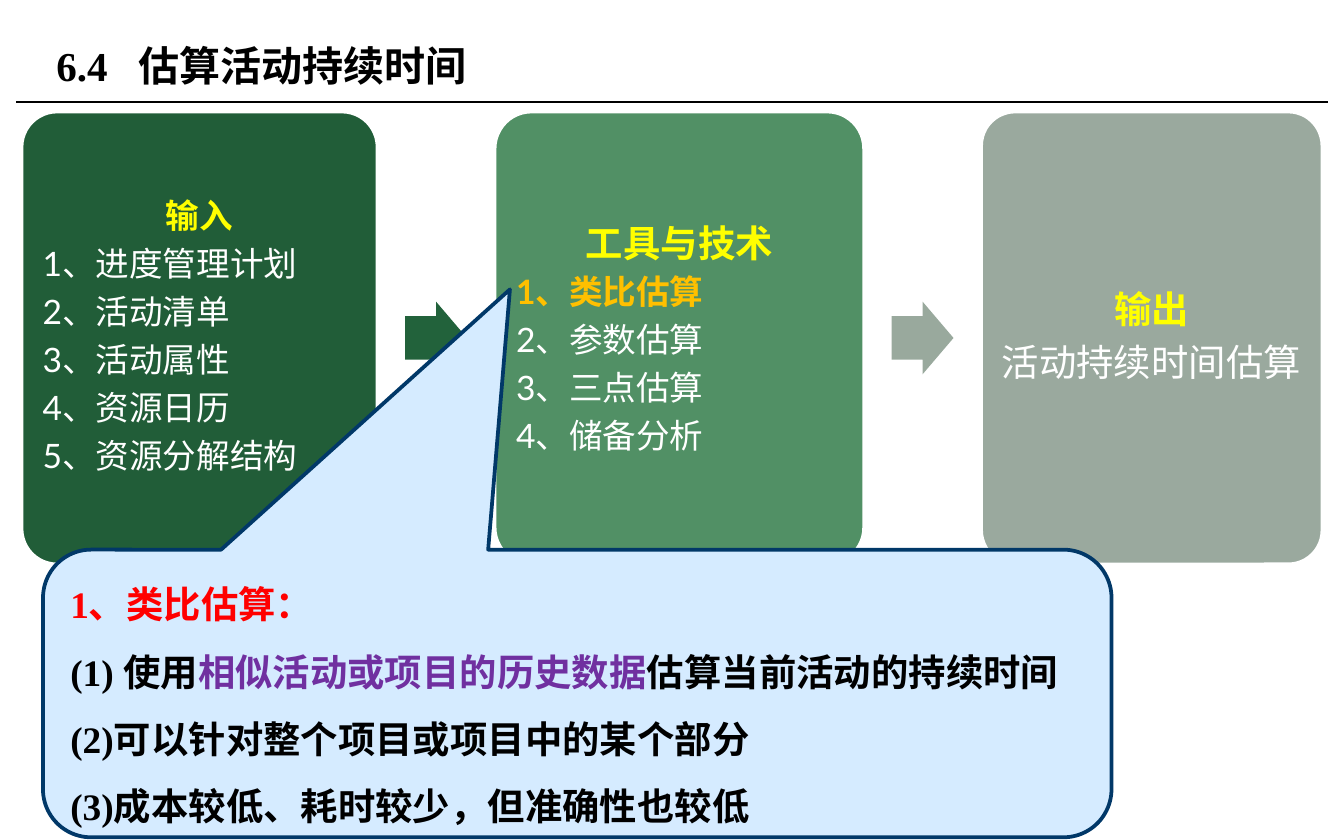
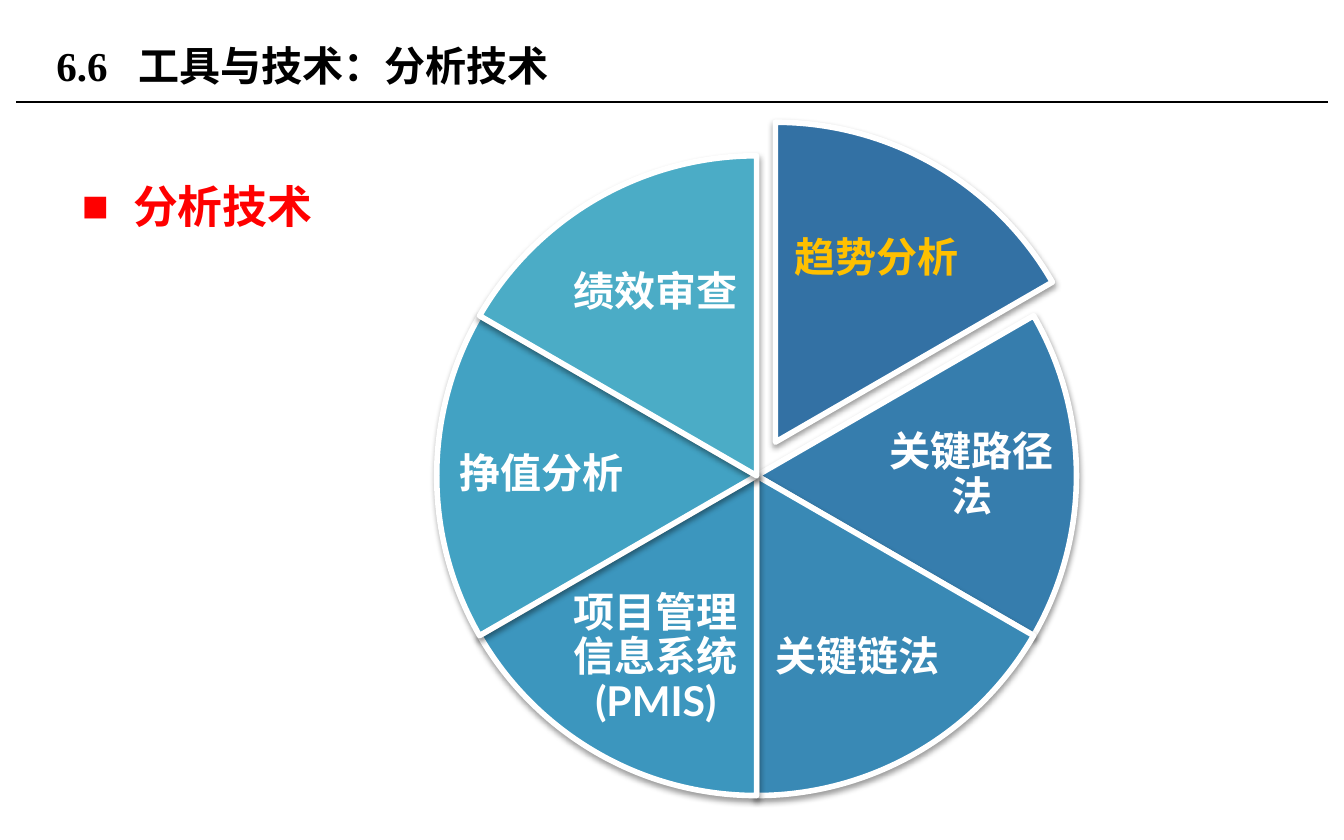
from dataclasses import dataclass
from typing import Optional

from lxml import etree
from pptx import Presentation
from pptx.dml.color import RGBColor as Rgb
from pptx.enum.shapes import MSO_CONNECTOR as Link, MSO_SHAPE as Kind
from pptx.enum.text import MSO_ANCHOR as Anchor, MSO_AUTO_SIZE as Fit, PP_ALIGN as Align
from pptx.oxml.ns import qn
from pptx.util import Inches, Pt

# Shared style
HUES = {
    "black": "000000", "white": "FFFFFF", "yellow": "FFFF00", "gold": "FFC000",
    "red": "FF0000", "violet": "7030A0", "pine": "215D38", "leaf": "519065",
    "sage": "9AA99E", "fir": "22623B", "ash": "99A99D", "ice": "D5EBFF", "navy": "013868",
}
SANS = "Lato"
SERIF = "Times New Roman"
TITLE_TAB = 0.61


@dataclass
class Span:
    text: str
    hue: str = "white"
    bold: bool = True


@dataclass
class Para:
    spans: list[Span]
    size: float = 18
    face: str = SANS
    lead: float = 0.9
    after: float = 0.35  # share of the text size
    mid: bool = False


@dataclass
class Card:
    width: float
    fill: str
    paras: list[Para]
    arrow: Optional[str] = None


@dataclass
class Slice:
    text: str
    fill: str
    dx: float  # label centre, from the hub
    dy: float
    hue: str = "white"
    face: str = SANS
    shift: tuple[float, float] = (0, 0)


def tint(name: str) -> Rgb:
    return Rgb.from_string(HUES.get(name, name))


def style(run, size: float, face: str, hue: str, bold: bool = True) -> None:
    font = run.font
    font.size, font.name, font.bold = Pt(size), face, bold
    font.color.rgb = tint(hue)
    east = etree.SubElement(run._r.get_or_add_rPr(), qn("a:ea"))
    east.set("typeface", SANS)


def write(frame, paras: list[Para], pad: Optional[float] = None) -> None:
    frame.word_wrap = True
    frame.vertical_anchor = Anchor.MIDDLE
    if pad is not None:
        frame.margin_left = frame.margin_right = Inches(pad)
        frame.margin_top = frame.margin_bottom = Inches(pad)
    for i, item in enumerate(paras):
        para = frame.add_paragraph() if i else frame.paragraphs[0]
        para.alignment = Align.CENTER if item.mid else Align.LEFT
        para.line_spacing = item.lead
        para.space_after = Pt(item.size * item.after)
        for span in item.spans:
            run = para.add_run()
            run.text = span.text
            style(run, item.size, item.face, span.hue, span.bold)


def place(shape, left: float, top: float, width: float, height: float) -> None:
    shape.left, shape.top = Inches(left), Inches(top)
    shape.width, shape.height = Inches(width), Inches(height)


def draw(slide, kind, box: tuple, fill: str, line: Optional[str] = None,
         weight: float = 2, adj: tuple = ()):
    shape = slide.shapes.add_shape(kind, *map(Inches, box))
    shape.shadow.inherit = False
    shape.fill.solid()
    shape.fill.fore_color.rgb = tint(fill)
    if line:
        shape.line.color.rgb = tint(line)
        shape.line.width = Pt(weight)
    else:
        shape.line.fill.background()
    for i, value in enumerate(adj):
        shape.adjustments[i] = value
    return shape


def shade(shape) -> None:
    effects = shape._element.spPr.find(qn("a:effectLst"))
    outer = etree.SubElement(effects, qn("a:outerShdw"), blurRad="40000",
                             dist="20000", dir="5400000", rotWithShape="0")
    color = etree.SubElement(outer, qn("a:srgbClr"), val=HUES["black"])
    etree.SubElement(color, qn("a:alpha"), val="38000")


def start(deck, layout: int, number: str, name: str):
    """Add a slide with its title and the rule below it."""
    slide = deck.slides.add_slide(deck.slide_layouts[layout])
    title = slide.shapes.title
    place(title, 0.32, 0.13, 6.38, 0.71)
    frame = title.text_frame
    frame.text = f"{number}\t{name}"
    frame.auto_size = Fit.NONE
    frame.vertical_anchor = Anchor.MIDDLE
    para = frame.paragraphs[0]
    para.alignment = Align.LEFT
    tabs = etree.SubElement(para._p.get_or_add_pPr(), qn("a:tabLst"))
    etree.SubElement(tabs, qn("a:tab"), pos=str(Inches(TITLE_TAB)), algn="l")
    for run in para.runs:
        style(run, 22, SERIF, "black")
    rule = slide.shapes.add_connector(
        Link.STRAIGHT, Inches(0.12), Inches(0.76), Inches(9.88), Inches(0.76))
    rule.line.color.rgb = tint("black")
    rule.line.width = Pt(0.75)
    etree.SubElement(rule._element.spPr, qn("a:effectLst"))
    return slide


# Slide 1: inputs, tools, outputs
def head(text: str, size: float = 18, **more) -> Para:
    return Para([Span(text, "yellow")], size, mid=True, **more)


def item(text: str, size: float = 18) -> Para:
    return Para([Span(text, bold=False)], size)


CARDS = [
    Card(2.65, "pine", [head("输入")] + [item(t) for t in (
        "1、进度管理计划", "2、活动清单", "3、活动属性", "4、资源日历", "5、资源分解结构")], "fir"),
    Card(2.75, "leaf", [head("工具与技术", 20, lead=1, after=0.3),
                        Para([Span("1、类比估算", "gold")])] + [item(t) for t in (
        "2、参数估算", "3、三点估算", "4、储备分析")], "ash"),
    Card(2.54, "sage", [head("输出", 20), item("活动持续时间估算", 20)]),
]
NOTES = [
    [Span("1、类比估算：", "red")],
    [Span("(1) 使用", "black"), Span("相似活动或项目的历史数据", "violet"),
     Span("估算当前活动的持续时间", "black")],
    [Span("(2)可以针对整个项目或项目中的某个部分", "black")],
    [Span("(3)成本较低、耗时较少，但准确性也较低", "black")],
]


def flow(deck) -> None:
    slide = start(deck, 5, "6.4", "估算活动持续时间")
    left, top, height, gap = 0.16, 0.83, 3.37, 0.87
    wide, tall = 0.46, 0.54
    for card in CARDS:
        box = draw(slide, Kind.ROUNDED_RECTANGLE, (left, top, card.width, height),
                   card.fill, "white", adj=(0.1,))
        write(box.text_frame, card.paras, 0.08)
        left += card.width + gap
        if card.arrow:
            draw(slide, Kind.RIGHT_ARROW,
                 (left - (gap + wide) / 2, top + (height - tall) / 2, wide, tall),
                 card.arrow, adj=(0.6, 0.5))
    note = draw(slide, Kind.ROUNDED_RECTANGULAR_CALLOUT, (0.32, 4.09, 7.95, 2.14),
                "ice", "navy", adj=(-0.063, -1.405, 0.167))
    write(note.text_frame, [Para(s, 20, SERIF, 1.5, 0) for s in NOTES])


# Slide 2: wheel of analysis techniques
SLICES = [
    Slice("趋势分析", "3371A4", 0.75, -1.36, hue="gold", shift=(0.14, -0.25)),
    Slice("关键路径法", "367DAD", 1.6, 0),
    Slice("关键链法", "3989B5", 0.75, 1.36, face=SERIF),
    Slice("项目管理信息系统 (PMIS)", "3C96BE", -0.75, 1.36),
    Slice("挣值分析", "42A2C3", -1.6, 0),
    Slice("绩效审查", "4BACC6", -0.75, -1.36),
]


def wheel(deck) -> None:
    slide = start(deck, 1, "6.6", "工具与技术：分析技术")
    body = slide.placeholders[1]
    place(body, 0.51, 1.08, 8.98, 3.9)
    frame = body.text_frame
    frame.text = "分析技术"
    frame.auto_size = Fit.NONE
    para = frame.paragraphs[0]
    para.line_spacing = 1.5
    para.space_before = Pt(0)
    props = para._p.get_or_add_pPr()
    props.set("marL", str(Inches(0.38)))
    props.set("indent", str(-Inches(0.38)))
    etree.SubElement(props, qn("a:buChar"), char="■")
    style(para.runs[0], 24, SERIF, "red")

    hub_x, hub_y, size = 5.63, 3.54, 4.76
    turn = 360 * 0.6  # pie angles count in units of 5/3 degree
    step = turn / len(SLICES)
    for i, part in enumerate(SLICES):
        x, y = hub_x + part.shift[0], hub_y + part.shift[1]
        begin = (turn * 0.75 + i * step) % turn
        pie = draw(slide, Kind.PIE, (x - size / 2, y - size / 2, size, size),
                   part.fill, "white", 3, (begin, (begin + step) % turn))
        shade(pie)
        wide, tall = (1.39, 1.02) if part.dy else (1.44, 0.96)
        label = slide.shapes.add_textbox(
            Inches(x + part.dx - wide / 2), Inches(y + part.dy - tall / 2),
            Inches(wide), Inches(tall))
        write(label.text_frame,
              [Para([Span(part.text, part.hue)], 22, part.face, mid=True)], 0.03)


def main() -> None:
    deck = Presentation()
    deck.slide_width, deck.slide_height = Inches(10), Inches(6.25)
    flow(deck)
    wheel(deck)
    deck.save("out.pptx")


if __name__ == "__main__":
    main()
